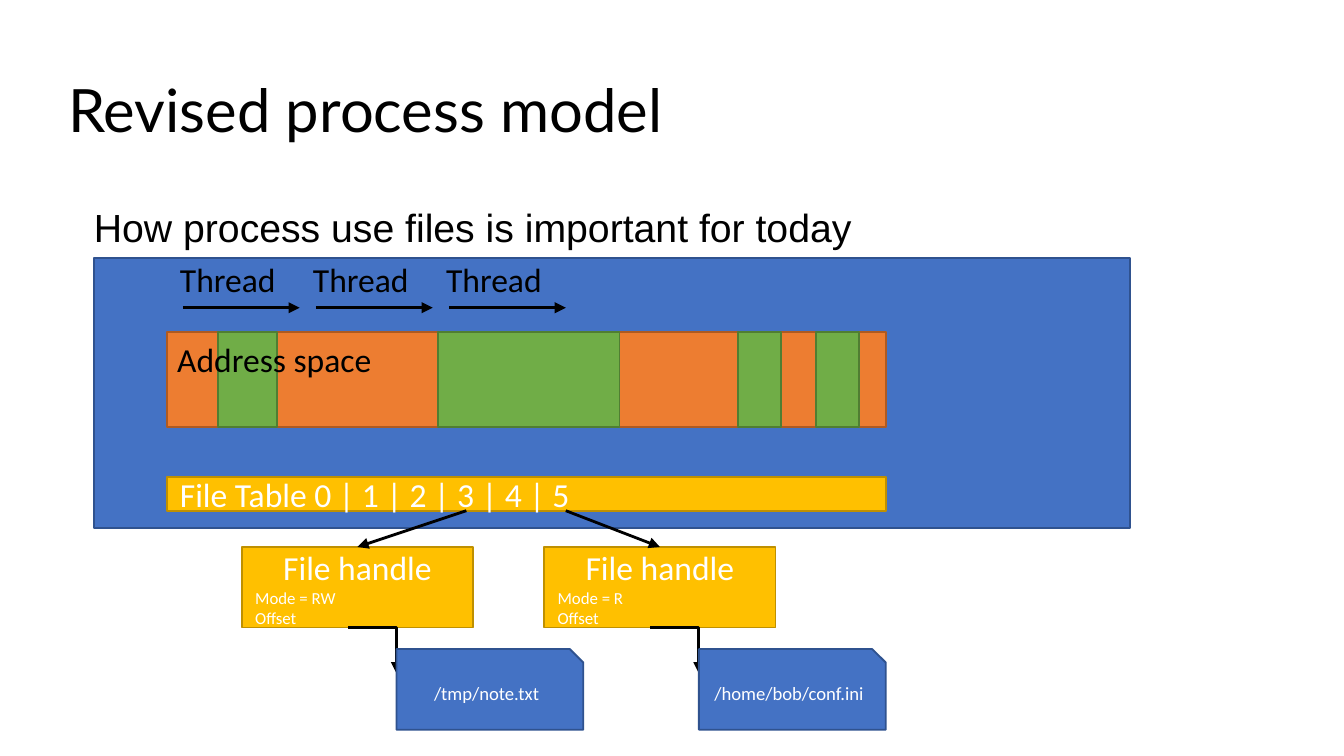
from dataclasses import dataclass

from lxml import etree
from pptx import Presentation
from pptx import util as u
from pptx.dml.color import RGBColor
from pptx.enum import shapes, text
from pptx.oxml.ns import qn

CELL = 0.1  # inches per grid column and row
COLS, ROWS = 100, 56.25
COLORS = {
    "black": "000000", "white": "FFFFFF",
    "blue": "4472C4", "blue_edge": "2F528F",
    "orange": "ED7D31", "orange_edge": "AE5A21",
    "green": "70AD47", "green_edge": "507E32",
    "gold": "FFC000", "gold_edge": "BF9000",
}
RECT = shapes.MSO_SHAPE.RECTANGLE
SNIP = shapes.MSO_SHAPE.SNIP_1_RECTANGLE
STRAIGHT = shapes.MSO_CONNECTOR.STRAIGHT
ELBOW = shapes.MSO_CONNECTOR.ELBOW
LEFT, CENTER = text.PP_ALIGN.LEFT, text.PP_ALIGN.CENTER
TOP, MIDDLE = text.MSO_ANCHOR.TOP, text.MSO_ANCHOR.MIDDLE


@dataclass(frozen=True)
class Box:
    """Place on the grid, in columns and rows."""
    col: float
    row: float
    cols: float
    rows: float


@dataclass(frozen=True)
class Line:
    words: str
    size: float
    color: str = "white"
    font: str = "Calibri"
    align: text.PP_ALIGN = LEFT
    spacing: float = 1.0


@dataclass(frozen=True)
class OpenFile:
    col: float
    mode: str
    file_name: str
    slot_col: float


PROCESS = Box(7, 19.2, 77.1, 20.1)
ADDRESS_SPACE = Box(12.4, 24.7, 53.5, 7.1)
FILE_TABLE = Box(12.4, 35.5, 53.5, 2.5)
USED_REGIONS = [(16.2, 4.4), (32.6, 13.5), (54.9, 3.2), (60.7, 3.2)]
THREADS, THREAD_COL, THREAD_STEP = 3, 12.4, 9.9
OPEN_FILES = [
    OpenFile(18, "Mode = RW", "/tmp/note.txt", 34.7),
    OpenFile(40.5, "Mode = R", "/home/bob/conf.ini", 42.1),
]


def grid(n: float) -> u.Length:
    return u.Inches(n * CELL)


def place(box: Box) -> list[u.Length]:
    return [grid(n) for n in (box.col, box.row, box.cols, box.rows)]


def rgb(name: str) -> RGBColor:
    return RGBColor.from_string(COLORS[name])


def write(tf, lines: list[Line], anchor: text.MSO_ANCHOR, wrap: bool = True) -> None:
    tf.word_wrap = wrap
    tf.vertical_anchor = anchor
    for i, line in enumerate(lines):
        p = tf.paragraphs[0] if i == 0 else tf.add_paragraph()
        p.alignment = line.align
        p.line_spacing = line.spacing
        r = p.add_run()
        r.text = line.words
        r.font.size = u.Pt(line.size)
        r.font.name = line.font
        r.font.color.rgb = rgb(line.color)


def add_text(s, box: Box, line: Line, anchor=TOP, wrap: bool = True) -> None:
    write(s.shapes.add_textbox(*place(box)).text_frame, [line], anchor, wrap)


def add_block(s, box: Box, color: str, lines: tuple[Line, ...] = (), kind=RECT):
    sp = s.shapes.add_shape(kind, *place(box))
    sp.shadow.inherit = False
    sp.fill.solid()
    sp.fill.fore_color.rgb = rgb(color)
    sp.line.color.rgb = rgb(color + "_edge")
    sp.line.width = u.Pt(1)
    if lines:
        write(sp.text_frame, list(lines), MIDDLE)
    return sp


def add_arrow(s, col: float, row: float, to_col: float, to_row: float, kind=STRAIGHT):
    c = s.shapes.add_connector(kind, grid(col), grid(row), grid(to_col), grid(to_row))
    c.line.color.rgb = rgb("black")
    c.line.width = u.Pt(1.5)
    sp_pr = c._element.spPr
    if kind == ELBOW:  # a single corner: across, then down
        sp_pr.find(qn("a:prstGeom")).set("prst", "bentConnector2")
    etree.SubElement(sp_pr.find(qn("a:ln")), qn("a:tailEnd"), type="triangle")
    etree.SubElement(sp_pr, qn("a:effectLst"))
    return c


def add_thread(s, col: float) -> None:
    add_arrow(s, col + 1.2, 22.9, col + 9.9, 22.9)
    add_text(s, Box(col, 18.8, 9.2, 4), Line("Thread", 18, "black"), wrap=False)


def add_open_file(s, f: OpenFile) -> None:
    """File handle with the file it refers to, and the arrow from the table."""
    handle = Box(f.col, 40.7, 17.2, 6)
    file = Box(f.col + 11.5, 48.3, 13.9, 6)
    sp = add_block(s, handle, "gold", (
        Line("File handle", 18, align=CENTER), Line(f.mode, 9), Line("Offset", 9)))
    bottom = handle.row + handle.rows
    add_arrow(s, f.col + 7.9, bottom, file.col, bottom + 3.4, ELBOW)
    add_block(s, file, "blue", (Line(f.file_name, 10, align=CENTER),), SNIP)
    arrow = add_arrow(s, f.slot_col, FILE_TABLE.row + FILE_TABLE.rows,
                      f.col + handle.cols / 2, handle.row)
    arrow.end_connect(sp, 0)


def main() -> None:
    prs = Presentation()
    prs.slide_width, prs.slide_height = grid(COLS), grid(ROWS)
    s = prs.slides.add_slide(prs.slide_layouts[6])

    add_text(s, Box(4.1, 3, 91.9, 10.9),
             Line("Revised process model", 32, "black", "Lato", spacing=0.9), MIDDLE)
    add_text(s, Box(6, 15, 90, 4),
             Line("How process use files is important for today", 21, "black",
                  "Arial", spacing=0.9))

    add_block(s, PROCESS, "blue")
    add_block(s, ADDRESS_SPACE, "orange")
    for col, cols in USED_REGIONS:
        add_block(s, Box(col, ADDRESS_SPACE.row, cols, ADDRESS_SPACE.rows), "green")
    for i in range(THREADS):
        add_thread(s, THREAD_COL + i * THREAD_STEP)
    add_text(s, Box(12.2, ADDRESS_SPACE.row, 16.6, 4),
             Line("Address space", 18, "black"), wrap=False)

    add_block(s, FILE_TABLE, "gold", (Line("File Table 0 | 1 | 2 | 3 | 4 | 5", 18),))
    for f in OPEN_FILES:
        add_open_file(s, f)

    prs.save("out.pptx")


if __name__ == "__main__":
    main()
